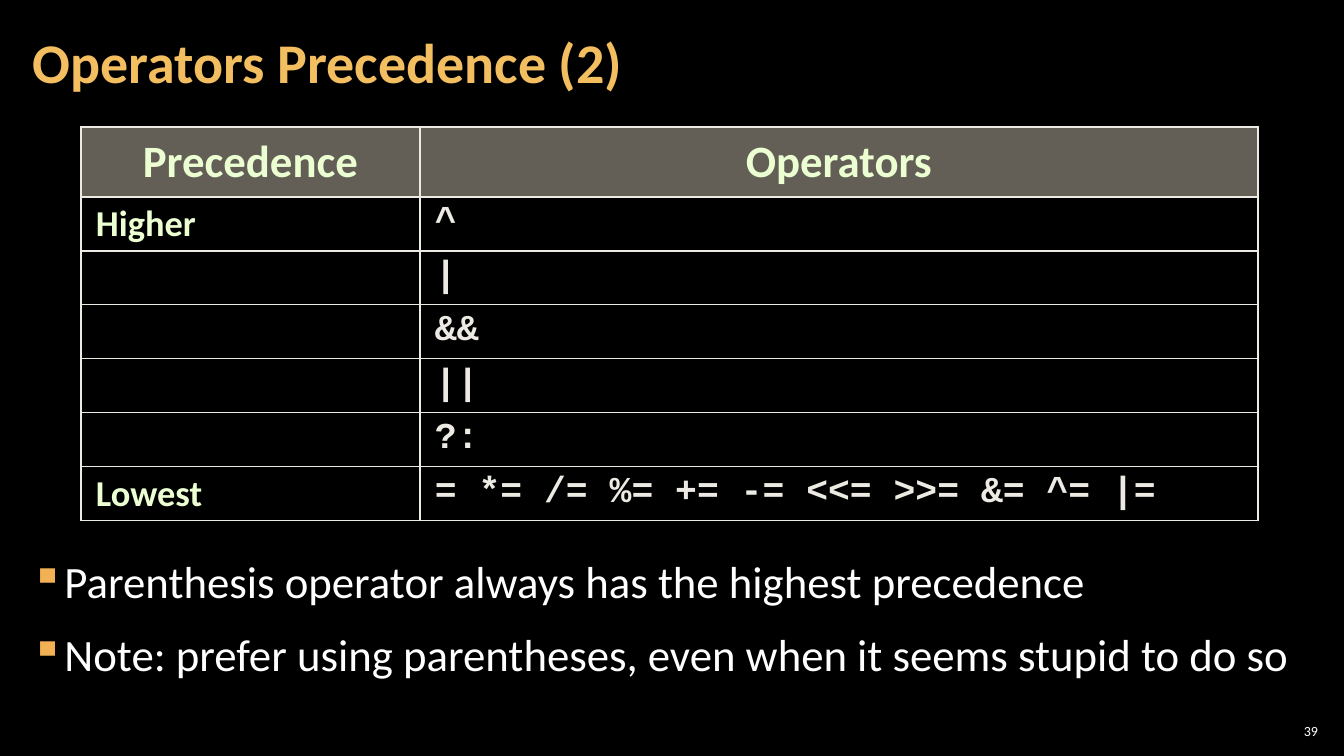
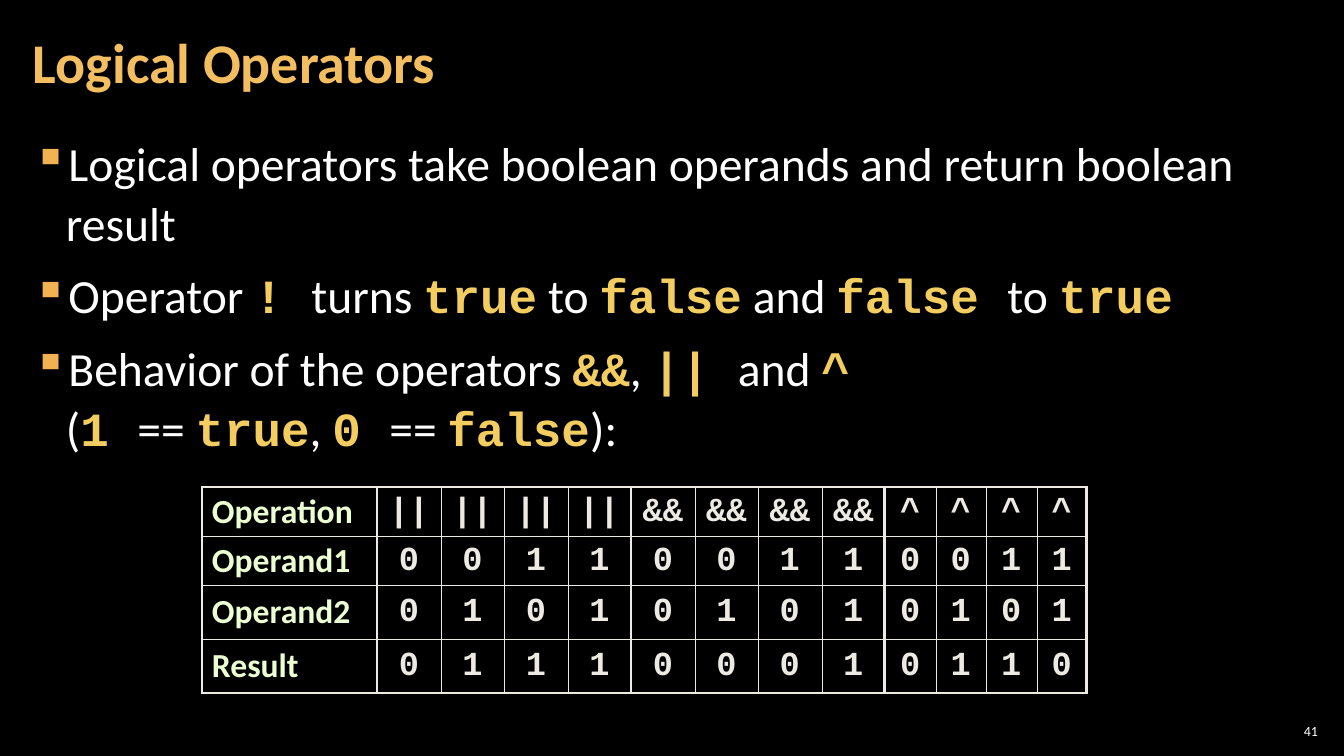
"""Two dark slides on operator precedence and logical operators."""
from lxml.etree import SubElement
from pptx import Presentation
from pptx.dml.color import RGBColor
from pptx.enum.text import MSO_ANCHOR as Anchor, PP_ALIGN as Align
from pptx.oxml.ns import qn
from pptx.util import Emu, Pt

SLIDE_WIDTH, SLIDE_HEIGHT = 1344, 756
EMU_PER_PX = 12192000 / SLIDE_WIDTH
TEXT_FONT, CODE_FONT = "Calibri", "Courier New"
COLORS = {
    "background": "000000",
    "text": "FFFFFF",
    "title": "F3BE60",
    "bullet": "F2B254",
    "code": "F3CD60",
    "label": "EBFFD2",
    "cell": "ECEAE3",
    "header": "C7BFAC",
}


def px(length):
    return Emu(round(length * EMU_PER_PX))


def rgb(name):
    return RGBColor.from_string(COLORS[name])


def set_font(font, name, color, size=None, bold=False):
    font.name = name
    font.color.rgb = rgb(color)
    font.bold = bold
    if size:
        font.size = Pt(size)


def set_insets(target, horizontal, vertical):
    target.margin_left = target.margin_right = px(horizontal)
    target.margin_top = target.margin_bottom = px(vertical)


def place(shape, left, top, width, height):
    shape.left, shape.top = px(left), px(top)
    shape.width, shape.height = px(width), px(height)


def add_textbox(page, left, top, width, height, insets):
    box = page.shapes.add_textbox(px(left), px(top), px(width), px(height))
    box.text_frame.word_wrap = True
    set_insets(box.text_frame, *insets)
    return box.text_frame


def add_page(deck, title, number):
    page = deck.slides.add_slide(deck.slide_layouts[5])
    place(page.shapes.title, 21, 4, 1055, 122)
    frame = page.shapes.title.text_frame
    frame.text = title
    frame.vertical_anchor = Anchor.MIDDLE
    set_insets(frame, 12, 4)
    para = frame.paragraphs[0]
    para.alignment = Align.LEFT
    para.line_spacing = 0.9
    set_font(para.font, TEXT_FONT, "title", 40, True)

    frame = add_textbox(page, 1275, 720, 47, 21, (4, 4))
    frame.text = str(number)
    frame.vertical_anchor = Anchor.MIDDLE
    para = frame.paragraphs[0]
    para.alignment = Align.RIGHT
    set_font(para.font, TEXT_FONT, "text", 10)
    return page


def set_bullet(para):
    properties = para._p.get_or_add_pPr()
    properties.set("marL", str(px(33)))
    properties.set("indent", str(-px(33)))
    color = SubElement(properties, qn("a:buClr"))
    SubElement(color, qn("a:srgbClr"), val=COLORS["bullet"])
    SubElement(properties, qn("a:buChar"), char="▪")


def add_bullets(page, bounds, insets, lines, size, space_before):
    """Write bullets; text between backticks is set as code."""
    frame = add_textbox(page, *bounds, insets)
    for index, line in enumerate(lines):
        para = frame.add_paragraph() if index else frame.paragraphs[0]
        set_bullet(para)
        para.line_spacing = 1.05
        para.space_before, para.space_after = Pt(space_before), Pt(6)
        set_font(para.font, TEXT_FONT, "text", size)
        for position, text in enumerate(line.split("`")):
            if text.startswith("\n"):
                para.add_line_break()
            if text.strip("\n"):
                span = para.add_run()
                span.text = text.strip("\n")
                if position % 2:
                    set_font(span.font, CODE_FONT, "code", size, True)


def set_borders(cell, widths):
    properties = cell._tc.get_or_add_tcPr()
    for side, width in zip("LRTB", widths):
        line = SubElement(properties, qn(f"a:ln{side}"), w=str(Pt(width)))
        fill = SubElement(line, qn("a:solidFill"))
        SubElement(fill, qn("a:srgbClr"), val=COLORS["cell"])


def fill_header(cell):
    cell.fill.solid()
    cell.fill.fore_color.rgb = rgb("header")
    color = cell._tc.tcPr.find(f"{qn('a:solidFill')}/{qn('a:srgbClr')}")
    SubElement(color, qn("a:alpha"), val="50000")


def write_cell(cell, text, name, color, size, align, anchor, insets):
    cell.text = text
    cell.vertical_anchor = anchor
    set_insets(cell, *insets)
    para = cell.text_frame.paragraphs[0]
    para.alignment = align
    para.line_spacing = 0.95
    set_font(para.font, name, color, size, True)


def add_grid(page, left, top, widths, heights, thin, thick_x, thick_y):
    """Add an empty table whose listed grid lines are thick."""
    grid = page.shapes.add_table(len(heights), len(widths), px(left), px(top),
                                 px(sum(widths)), px(sum(heights))).table
    grid.first_row = grid.horz_banding = False
    for column, width in zip(grid.columns, widths):
        column.width = px(width)
    for row, height in zip(grid.rows, heights):
        row.height = px(height)
    for y in range(len(heights)):
        for x in range(len(widths)):
            thick = (x in thick_x, x + 1 in thick_x, y in thick_y, y + 1 in thick_y)
            cell = grid.cell(y, x)
            set_borders(cell, [2.25 if flag else thin for flag in thick])
            cell.fill.background()
    return grid


def add_precedence_table(page):
    rows = [("Higher", "^"), ("", "|"), ("", "&&"), ("", "||"), ("", "?:"),
            ("Lowest", "= *= /= %= += -= <<= >>= &= ^= |=")]
    grid = add_grid(page, 81, 127, [339, 838], [70] + [54] * len(rows),
                    1, {0, 2}, {0, 1})
    insets = (15, 5)
    for x, heading in enumerate(("Precedence", "Operators")):
        cell = grid.cell(0, x)
        fill_header(cell)
        write_cell(cell, heading, TEXT_FONT, "label", 32, Align.CENTER,
                   Anchor.MIDDLE, insets)
    for y, (level, operators) in enumerate(rows, 1):
        write_cell(grid.cell(y, 0), level, TEXT_FONT, "label", 26, Align.LEFT,
                   Anchor.MIDDLE, insets)
        write_cell(grid.cell(y, 1), operators, CODE_FONT, "cell", 26, Align.LEFT,
                   Anchor.TOP, insets)


def add_truth_table(page):
    rows = {
        "Operation": ["||"] * 4 + ["&&"] * 4 + ["^"] * 4,
        "Operand1": "0011" * 3,
        "Operand2": "0101" * 3,
        "Result": "0111" + "0001" + "0110",
    }
    grid = add_grid(page, 202, 487, [175] + [64, 63] * 4 + [51, 50] * 2,
                    [49, 49, 54, 54], 0.25, {0, 1, 5, 9, 13}, {0, 4})
    for y, (label, values) in enumerate(rows.items()):
        write_cell(grid.cell(y, 0), label, TEXT_FONT, "label", 24, Align.LEFT,
                   Anchor.MIDDLE, (10, 5))
        for x, value in enumerate(values, 1):
            write_cell(grid.cell(y, x), value, CODE_FONT, "cell", 24, Align.CENTER,
                       Anchor.MIDDLE, (4, 4))


def main():
    deck = Presentation()
    deck.slide_width, deck.slide_height = px(SLIDE_WIDTH), px(SLIDE_HEIGHT)
    background = deck.slide_master.background.fill
    background.solid()
    background.fore_color.rgb = rgb("background")

    page = add_page(deck, "Operators Precedence (2)", 39)
    add_precedence_table(page)
    add_bullets(page, (21, 546, 1301, 173), (10, 5), [
        "Parenthesis operator always has the highest precedence",
        "Note: prefer using parentheses, even when it seems stupid to do so",
    ], 32, 6)

    page = add_page(deck, "Logical Operators", 41)
    add_bullets(page, (21, 127, 1301, 614), (12, 4), [
        "Logical operators take boolean operands and return boolean result",
        "Operator `! `turns `true` to `false` and `false `to `true`",
        "Behavior of the operators `&&`, `|| `and `^`\n"
        "(`1 `== `true`, `0 `== `false`):",
    ], 34, 3)
    add_truth_table(page)

    deck.save("out.pptx")


if __name__ == "__main__":
    main()
